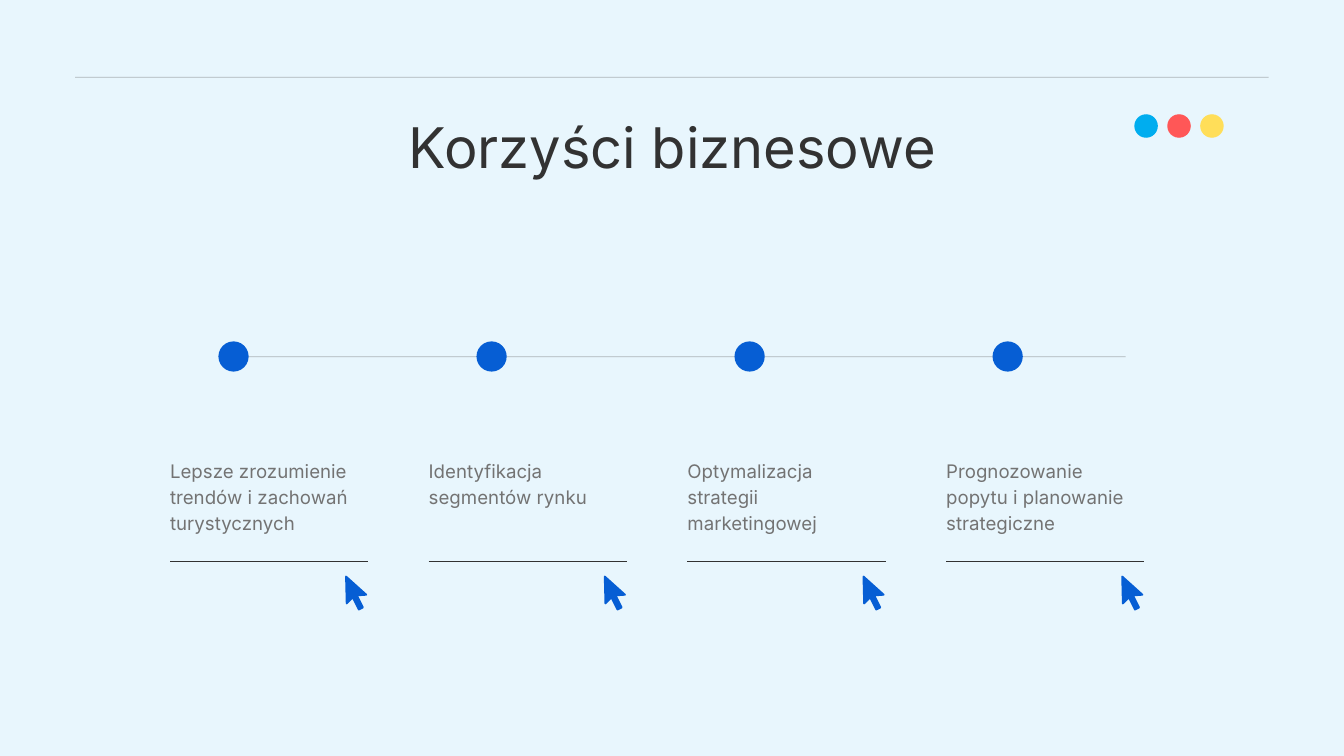
import pptx
import pptx.dml.color
import pptx.enum.shapes
import pptx.enum.text
import pptx.oxml.ns
import pptx.util
from lxml import etree

Inches = pptx.util.Inches
Pt = pptx.util.Pt
RGBColor = pptx.dml.color.RGBColor
qn = pptx.oxml.ns.qn
ALIGN = pptx.enum.text.PP_ALIGN

BACKGROUND = RGBColor(0xE8, 0xF6, 0xFD)
INK = RGBColor(0x32, 0x32, 0x32)
GREY = RGBColor(0x73, 0x73, 0x73)
BLUE = RGBColor(0x06, 0x5E, 0xD4)
SKY = RGBColor(0x00, 0xAD, 0xEF)
RED = RGBColor(0xFF, 0x57, 0x57)
YELLOW = RGBColor(0xFF, 0xDE, 0x59)

BENEFITS = [
    "Lepsze zrozumienie trendów i zachowań turystycznych",
    "Identyfikacja segmentów rynku",
    "Optymalizacja strategii marketingowej",
    "Prognozowanie popytu i planowanie strategiczne",
]
# Pointer outline, measured from its top left corner
POINTER = [(0, 0), (0.3, 0.27), (0.16, 0.28), (0.25, 0.46),
           (0.19, 0.49), (0.1, 0.31), (0.01, 0.4)]


class SlideBuilder:
    font = "Inter"
    line_width = Pt(0.75)

    def __init__(self, slide):
        self.slide = slide
        slide.background.fill.solid()
        slide.background.fill.fore_color.rgb = BACKGROUND

    def set_text(self, shape, text, size, color, spacing, align):
        frame = shape.text_frame
        frame.word_wrap = True
        frame.auto_size = pptx.enum.text.MSO_AUTO_SIZE.NONE
        frame.vertical_anchor = pptx.enum.text.MSO_ANCHOR.TOP
        frame.margin_left = frame.margin_right = 0
        frame.margin_top = frame.margin_bottom = 0
        paragraph = frame.paragraphs[0]
        paragraph.alignment = align
        paragraph.line_spacing = Pt(spacing)
        run = paragraph.add_run()
        run.text = text
        run.font.name = self.font
        run.font.size = Pt(size)
        run.font.color.rgb = color

    def title(self, text, left, top, width, height):
        heading = self.slide.shapes.title
        heading.left, heading.top = Inches(left), Inches(top)
        heading.width, heading.height = Inches(width), Inches(height)
        self.set_text(heading, text, 60, INK, 67.2, ALIGN.CENTER)

    def body(self, text, left, top, width, height):
        box = self.slide.shapes.add_textbox(
            Inches(left), Inches(top), Inches(width), Inches(height))
        self.set_text(box, text, 20, GREY, 28, ALIGN.LEFT)

    def rule(self, left, right, y, color, opacity=100):
        rule = self.slide.shapes.add_connector(
            pptx.enum.shapes.MSO_CONNECTOR.STRAIGHT,
            Inches(left), Inches(y), Inches(right), Inches(y))
        rule.line.color.rgb = color
        rule.line.width = self.line_width
        properties = rule._element.spPr
        if opacity < 100:
            tint = properties.find(".//" + qn("a:srgbClr"))
            etree.SubElement(tint, qn("a:alpha"), val=str(opacity * 1000))
        etree.SubElement(properties, qn("a:effectLst"))

    def dot(self, left, top, diameter, color):
        dot = self.slide.shapes.add_shape(
            pptx.enum.shapes.MSO_SHAPE.OVAL,
            Inches(left), Inches(top), Inches(diameter), Inches(diameter))
        dot.shadow.inherit = False
        dot.fill.solid()
        dot.fill.fore_color.rgb = color
        dot.line.fill.background()

    def pointer(self, left, top):
        points = [(Inches(left + x), Inches(top + y)) for x, y in POINTER]
        outline = self.slide.shapes.build_freeform(*points[0])
        outline.add_line_segments(points[1:], close=True)
        pointer = outline.convert_to_shape()
        pointer.shadow.inherit = False
        pointer.fill.solid()
        pointer.fill.fore_color.rgb = BLUE
        pointer.line.color.rgb = BLUE
        pointer.line.width = Pt(2)
        # Round corners
        etree.SubElement(pointer._element.spPr.find(qn("a:ln")), qn("a:round"))


def main():
    deck = pptx.Presentation()
    deck.slide_width, deck.slide_height = Inches(20), Inches(11.25)
    page = SlideBuilder(deck.slides.add_slide(deck.slide_layouts[5]))

    # Header
    page.title("Korzyści biznesowe", 3.77, 1.74, 12.47, 0.95)
    page.rule(1.12, 18.88, 1.15, GREY, opacity=50)
    for i, color in enumerate([SKY, RED, YELLOW]):
        page.dot(16.88 + 0.49 * i, 1.7, 0.35, color)

    # Timeline with one column per benefit
    page.rule(3.25, 16.75, 5.31, GREY, opacity=50)
    for i, benefit in enumerate(BENEFITS):
        page.dot(3.25 + 3.84 * i, 5.08, 0.45, BLUE)
        left = 2.53 + 3.85 * i
        page.body(benefit, left, 6.79, 2.78, 1.15)
        page.rule(left, left + 2.95, 8.36, INK)
        page.pointer(left + 2.62, 8.58)

    deck.save("out.pptx")


if __name__ == "__main__":
    main()
